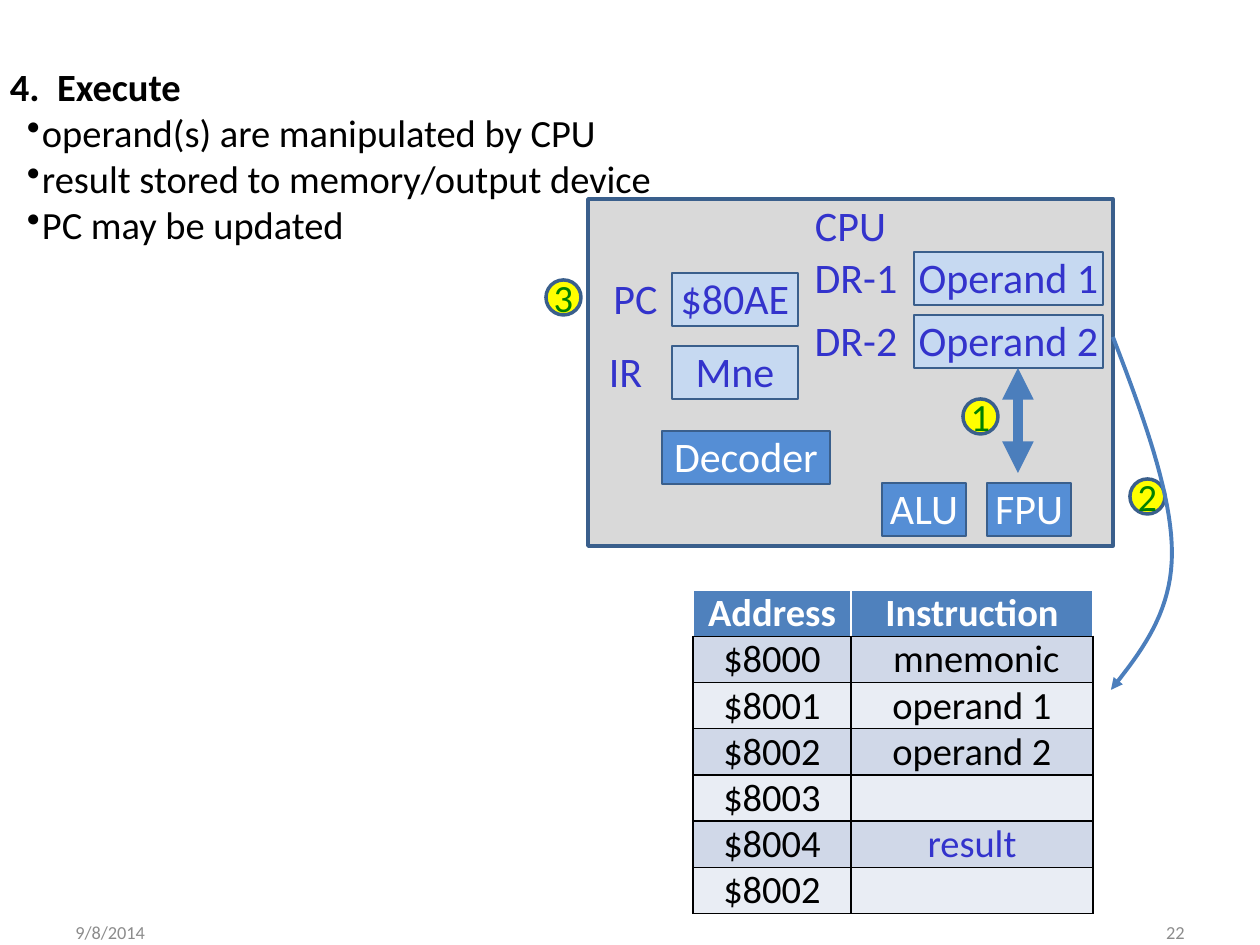
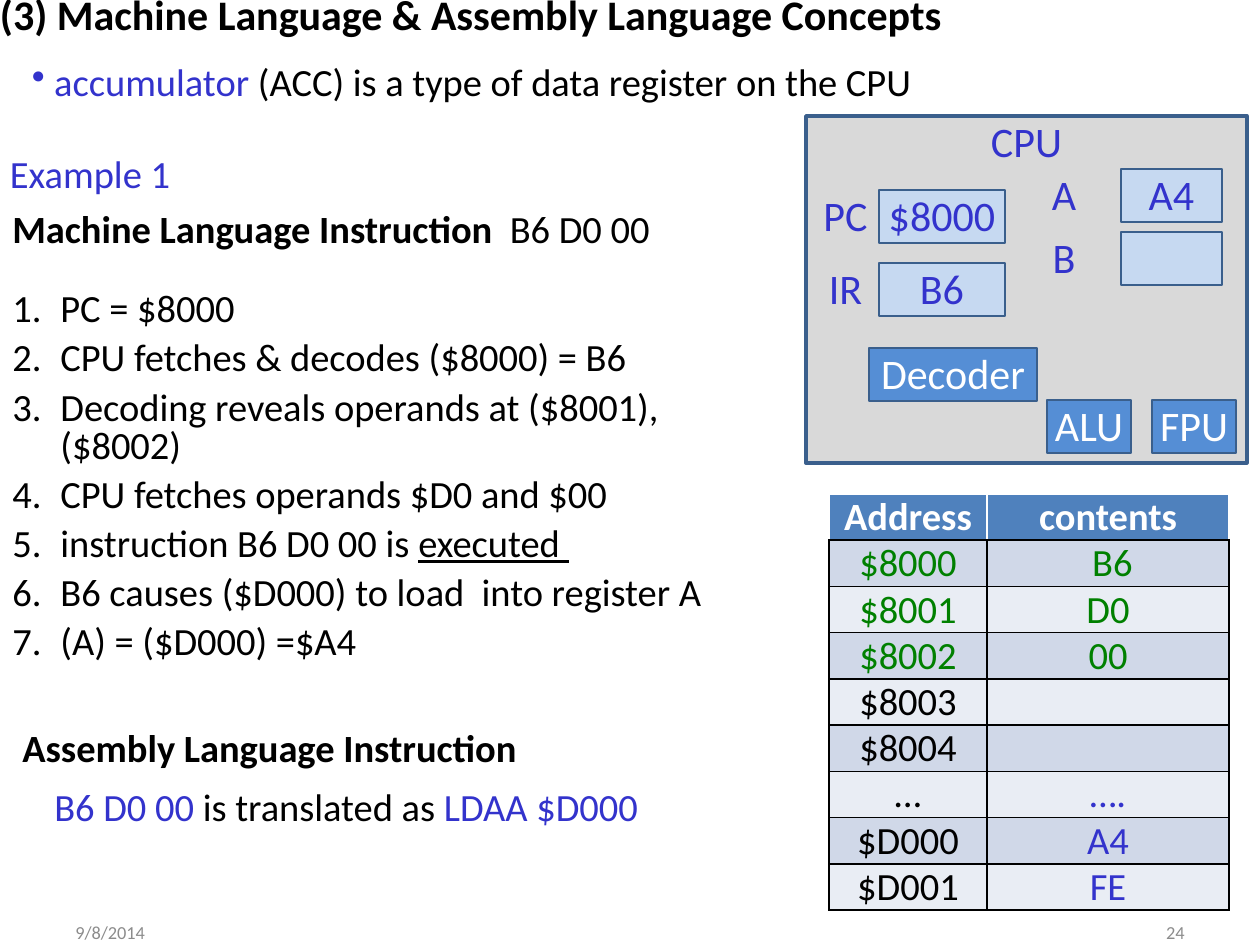
"""Build two slides on how a CPU executes instructions."""
import dataclasses
from typing import Optional, Sequence, Union

import lxml.etree
import pptx
import pptx.dml.color
import pptx.enum.shapes
import pptx.enum.text
import pptx.oxml.ns
import pptx.slide
import pptx.text.text
import pptx.util

EMU_PER_PX = 914400 / 126
FONT = "Calibri"
BODY, LARGE, SMALL = 22, 24, 10.5
BOX_H, BADGE_D, ROW_H = 53, 35, 46
COLUMNS = (158, 242)
HANG = (48, -48)
DATA_DY, PC_DY, IR_DY, DECODER_DY, UNIT_DY = (53, 116), 74, 147, 232, 284
COLORS = {
    "black": "000000", "white": "FFFFFF", "blue": "3333CC", "green": "008000",
    "grey": "8C8C8C", "panel": "D9D9D9", "register": "C6D9F1", "unit": "558ED5",
    "outline": "3A5F8C", "arrow": "4B7EBC", "badge": "FFFF00",
    "header": "4F81BD", "odd": "D0D8E8", "even": "E9EDF4",
}
SHAPES = pptx.enum.shapes.MSO_SHAPE
ALIGN = pptx.enum.text.PP_ALIGN
ANCHOR = pptx.enum.text.MSO_ANCHOR


@dataclasses.dataclass(frozen=True)
class Run:
    """A piece of text with its own format."""
    text: str
    color: str = "black"
    bold: bool = False
    underline: bool = False


@dataclasses.dataclass(frozen=True)
class Cpu:
    """Places and register contents of one CPU diagram."""
    left: int
    top: int
    width: int
    pc_label_x: int
    ir_label_x: int
    pointer_x: int
    pc: str
    ir: str
    data_label_x: int
    data_x: int
    data_w: int
    data: Sequence[tuple[str, str]]
    alu_x: int


Text = Union[str, Sequence[Run]]


def px(n: float) -> pptx.util.Emu:
    """Turn pixels into EMU."""
    return pptx.util.Emu(round(n * EMU_PER_PX))


def rgb(name: str) -> pptx.dml.color.RGBColor:
    """Look up a named colour."""
    return pptx.dml.color.RGBColor.from_string(COLORS[name])


def sub(parent: lxml.etree._Element, tag: str, **attrs: str) -> lxml.etree._Element:
    """Append a DrawingML child element."""
    return lxml.etree.SubElement(parent, pptx.oxml.ns.qn(f"a:{tag}"), attrs)


def write(tf: pptx.text.text.TextFrame, text: Text, *, size: float = BODY,
          color: str = "black", bold: bool = False, align: ALIGN = ALIGN.LEFT,
          indent: Optional[tuple[int, int]] = None, bullet: str = "",
          spaced: bool = False) -> None:
    """Write one formatted paragraph into a text frame."""
    p = tf.add_paragraph() if tf.text else tf.paragraphs[0]
    p.alignment = align
    if spaced:
        p.line_spacing, p.space_before = pptx.util.Pt(22), pptx.util.Pt(6)
    pPr = p._p.get_or_add_pPr()
    if indent:
        pPr.set("marL", str(px(indent[0])))
        pPr.set("indent", str(px(indent[1])))
    if bullet == "1.":
        sub(pPr, "buAutoNum", type="arabicPeriod")
    elif bullet:
        sub(pPr, "buChar", char=bullet)
    for run in [Run(text, color, bold)] if isinstance(text, str) else text:
        r = p.add_run()
        r.text = run.text
        r.font.name, r.font.size = FONT, pptx.util.Pt(size)
        r.font.bold, r.font.underline = run.bold, run.underline
        r.font.color.rgb = rgb(run.color)


def text_box(s: pptx.slide.Slide, x: int, y: int, w: int, h: int, *,
             inset: bool = False, anchor: ANCHOR = ANCHOR.TOP) -> pptx.text.text.TextFrame:
    """Add a wrapping text box and return its frame."""
    tf = s.shapes.add_textbox(px(x), px(y), px(w), px(h)).text_frame
    tf.word_wrap, tf.vertical_anchor = True, anchor
    if not inset:
        tf.margin_left = tf.margin_right = tf.margin_top = tf.margin_bottom = 0
    return tf


def box(s: pptx.slide.Slide, text: str, x: int, y: int, w: int, h: int = BOX_H, *,
        fill: str = "panel", line: float = 0, color: str = "blue", size: float = LARGE,
        shape: SHAPES = SHAPES.RECTANGLE, anchor: ANCHOR = ANCHOR.TOP) -> None:
    """Add a filled shape with centred text."""
    sp = s.shapes.add_shape(shape, px(x), px(y), px(w), px(h))
    sp.shadow.inherit = False
    sp.fill.solid()
    sp.fill.fore_color.rgb = rgb(fill)
    if line:
        sp.line.color.rgb, sp.line.width = rgb("outline"), pptx.util.Pt(line)
    else:
        sp.line.fill.background()
    tf = sp.text_frame
    tf.margin_left = tf.margin_right = tf.margin_top = tf.margin_bottom = 0
    tf.vertical_anchor = anchor
    if text:
        write(tf, text, size=size, color=color, align=ALIGN.CENTER)


def draw_cpu(s: pptx.slide.Slide, cpu: Cpu) -> None:
    """Draw the CPU panel with its registers and units."""
    box(s, "CPU", cpu.left, cpu.top, cpu.width, 347, line=2)
    for name, x, value, dy in (("PC", cpu.pc_label_x, cpu.pc, PC_DY),
                               ("IR", cpu.ir_label_x, cpu.ir, IR_DY)):
        box(s, name, x, cpu.top + dy, BOX_H)
        box(s, value, cpu.pointer_x, cpu.top + dy, 126, fill="register", line=1.5)
    for (name, value), dy in zip(cpu.data, DATA_DY):
        box(s, name, cpu.data_label_x, cpu.top + dy, 84)
        box(s, value, cpu.data_x, cpu.top + dy, cpu.data_w, fill="register", line=1.5)
    for name, x, dy, w in (("Decoder", cpu.pointer_x - 10, DECODER_DY, 168),
                           ("ALU", cpu.alu_x, UNIT_DY, 84),
                           ("FPU", cpu.alu_x + 105, UNIT_DY, 84)):
        box(s, name, x, cpu.top + dy, w, fill="unit", line=1.5, color="white")


def draw_memory(s: pptx.slide.Slide, x: int, y: int, heading: str,
                rows: Sequence[tuple[Run, Run]]) -> None:
    """Draw the memory table under its header row."""
    header = (Run("Address", "white", True), Run(heading, "white", True))
    lines = [header, *rows]
    table = s.shapes.add_table(len(lines), 2, px(x), px(y), px(sum(COLUMNS)),
                               px(ROW_H * len(lines))).table
    for column, w in zip(table.columns, COLUMNS):
        column.width = px(w)
    for i, line in enumerate(lines):
        for j, run in enumerate(line):
            cell = table.cell(i, j)
            cell.margin_left = cell.margin_right = cell.margin_top = cell.margin_bottom = 0
            tcPr = cell._tc.get_or_add_tcPr()
            for side in "LRTB":
                name = "white" if i == 0 and side != "B" else "black"
                ln = sub(tcPr, f"ln{side}", w="12700")
                sub(sub(ln, "solidFill"), "srgbClr", val=COLORS[name])
            cell.fill.solid()
            cell.fill.fore_color.rgb = rgb("header" if i == 0 else "odd" if i % 2 else "even")
            if run.text:
                write(cell.text_frame, [run], align=ALIGN.CENTER)


def style_arrow(sp, width: float, *ends: str) -> None:
    """Colour an open line and give it arrowheads."""
    sp.line.color.rgb, sp.line.width = rgb("arrow"), pptx.util.Pt(width)
    ln = sp.element.spPr.get_or_add_ln()
    for end in ends:
        sub(ln, end, type="triangle")


def draw_double_arrow(s: pptx.slide.Slide, x: int, y1: int, y2: int) -> None:
    """Draw a thick vertical arrow with two heads."""
    sp = s.shapes.add_connector(pptx.enum.shapes.MSO_CONNECTOR.STRAIGHT,
                                px(x), px(y1), px(x), px(y2))
    style_arrow(sp, 6, "headEnd", "tailEnd")
    sub(sp.element.spPr, "effectLst")


def draw_curve(s: pptx.slide.Slide, *points: tuple[int, int], steps: int = 20) -> None:
    """Draw chained cubic curves as a finely divided arrow."""
    curve = []
    for k in range(0, len(points) - 1, 3):
        for n in range(1, steps + 1):
            t = n / steps
            weights = ((1 - t) ** 3, 3 * t * (1 - t) ** 2, 3 * t ** 2 * (1 - t), t ** 3)
            curve.append(tuple(px(sum(w * pt[axis] for w, pt in zip(weights, points[k:k + 4])))
                               for axis in (0, 1)))
    fb = s.shapes.build_freeform(px(points[0][0]), px(points[0][1]))
    fb.add_line_segments(curve, close=False)
    sp = fb.convert_to_shape()
    sp.shadow.inherit = False
    sp.fill.background()
    style_arrow(sp, 2.25, "tailEnd")


def draw_footer(s: pptx.slide.Slide, number: str) -> None:
    """Add the date and the slide number."""
    for text, x, align in (("9/8/2014", 63, ALIGN.LEFT), (number, 903, ALIGN.RIGHT)):
        tf = text_box(s, x, 921, 294, 23, inset=True, anchor=ANCHOR.MIDDLE)
        write(tf, text, size=SMALL, color="grey", align=align)


def execute_slide(s: pptx.slide.Slide) -> None:
    """Draw the slide on the execute step."""
    tf = text_box(s, 10, 63, 693, 186)
    write(tf, "4.  Execute", bold=True)
    for text in ("operand(s) are manipulated by CPU",
                 "result stored to memory/output device", "PC may be updated"):
        write(tf, text, indent=(32, -15), bullet="•")
    draw_cpu(s, Cpu(588, 199, 525, 609, 599, 672, "$80AE", "Mne", 814, 914, 189,
                    (("DR-1", "Operand 1"), ("DR-2", "Operand 2")), 882))
    for text, x, y in (("1", 963, 399), ("2", 1130, 479), ("3", 546, 280)):
        box(s, text, x, y, BADGE_D, BADGE_D, fill="badge", line=2, color="green",
            size=BODY, shape=SHAPES.OVAL, anchor=ANCHOR.MIDDLE)
    contents = (" mnemonic", "operand 1", "operand 2", "", "result", "")
    addresses = ("$8000", "$8001", "$8002", "$8003", "$8004", "$8002")
    draw_memory(s, 693, 590, "Instruction",
                [(Run(a), Run(c, "blue" if c == "result" else "black"))
                 for a, c in zip(addresses, contents)])
    draw_curve(s, (1113, 337), (1143, 415), (1172, 494), (1172, 553),
               (1172, 612), (1142, 651), (1111, 690))
    draw_double_arrow(s, 1018, 473, 368)
    draw_footer(s, "22")


def language_slide(s: pptx.slide.Slide) -> None:
    """Draw the slide on machine and assembly language."""
    write(text_box(s, 0, 0, 998, 42), "(3) Machine Language & Assembly Language Concepts",
          size=LARGE, bold=True, indent=(24, -24), spaced=True)
    draw_cpu(s, Cpu(806, 116, 441, 819, 819, 879, "$8000", "B6", 1022, 1121, 101,
                    (("A", "A4"), ("B", "")), 1047))
    code = [(Run(a, "green"), Run(c, "green"))
            for a, c in (("$8000", " B6"), ("$8001", "D0"), ("$8002", "00"))]
    data = [(Run(a), Run(c, "blue")) for a, c in
            (("$8003", ""), ("$8004", ""), ("…", "…."), ("$D000", "A4"), ("$D001", "FE"))]
    draw_memory(s, 829, 494, "contents", code + data)
    write(text_box(s, 32, 66, 892, 39),
          [Run(" accumulator", "blue"),
           Run(" (ACC) is a type of data register on the CPU")], bullet="•", spaced=True)
    tf = text_box(s, 0, 286, 777, 386, inset=True)
    for step in ("PC = $8000", "CPU fetches & decodes ($8000) = B6 ",
                 "Decoding reveals operands at ($8001),($8002)",
                 "CPU fetches operands $D0 and $00",
                 [Run("instruction B6 D0 00 is "), Run("executed ", underline=True), Run(" ")],
                 "B6 causes ($D000) to load  into register A", "(A) = ($D000) =$A4"):
        write(tf, step, indent=HANG, bullet="1.", spaced=True)
    write(text_box(s, 10, 158, 892, 39), "Example 1", color="blue", spaced=True)
    for x, y, w, runs in (
            (0, 199, 777, [Run("Machine Language Instruction ", bold=True), Run(" B6 D0 00")]),
            (42, 777, 640, [Run("B6 D0 00 ", "blue"), Run("is translated as "),
                            Run("LDAA $D000", "blue")]),
            (10, 718, 777, [Run("Assembly Language Instruction", bold=True)])):
        write(text_box(s, x, y, w, 59, inset=True), runs, indent=HANG)
    draw_footer(s, "24")


def main() -> None:
    """Build and save the presentation."""
    prs = pptx.Presentation()
    prs.slide_width, prs.slide_height = px(1260), px(945)
    for draw in (execute_slide, language_slide):
        draw(prs.slides.add_slide(prs.slide_layouts[6]))
    prs.save("out.pptx")


main()
